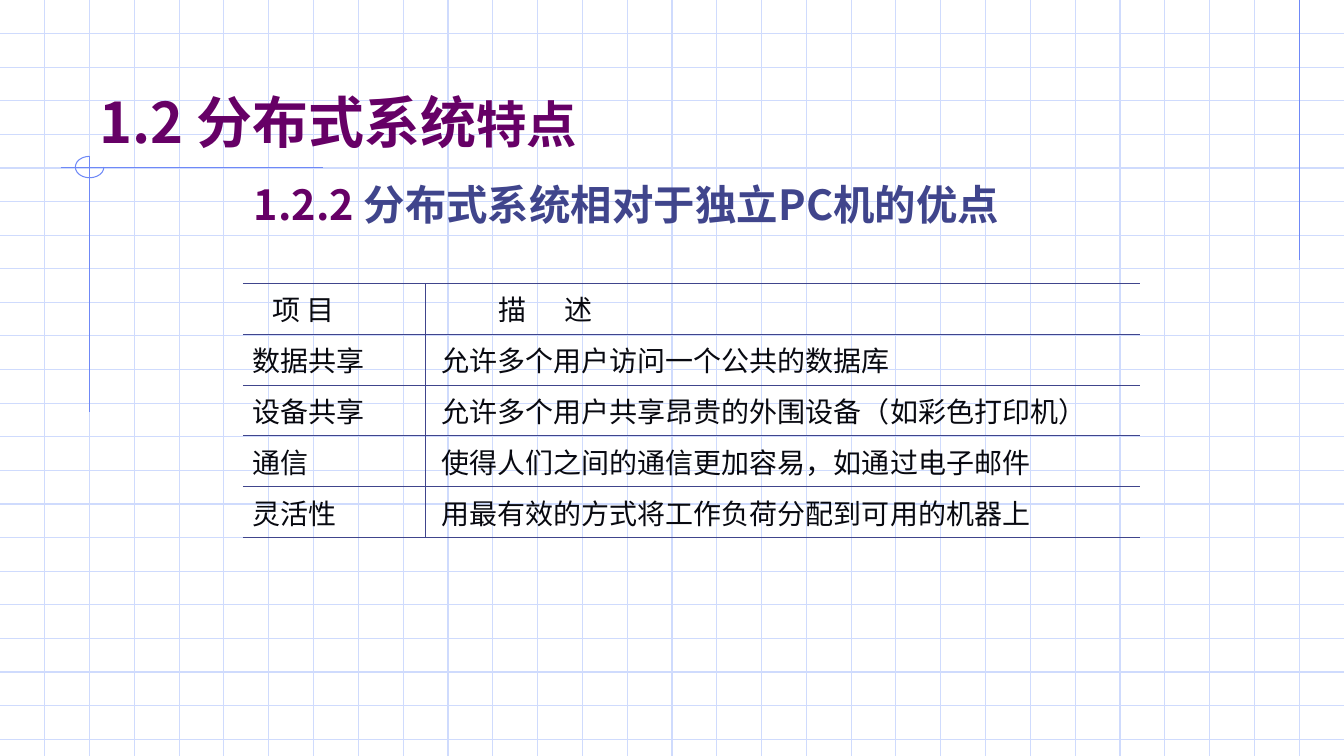
from lxml import etree
from pptx import Presentation
from pptx.dml.color import RGBColor
from pptx.enum.shapes import MSO_CONNECTOR, MSO_SHAPE
from pptx.enum.text import MSO_ANCHOR
from pptx.oxml.ns import qn
from pptx.util import Cm, Pt

STRAIGHT = MSO_CONNECTOR.STRAIGHT
ARC = MSO_SHAPE.ARC
TOP, BOTTOM = MSO_ANCHOR.TOP, MSO_ANCHOR.BOTTOM

WIDTH, HEIGHT = 33.88, 19.05
COLORS = {
    "paper": "FFFFFF",
    "grid": "CFDBFD",
    "accent": "6F89F7",
    "plum": "660066",
    "indigo": "40458C",
    "ink": "080910",
}
TITLE_FONT = "Noto Sans CJK JP"
BODY_FONT = "Noto Sans CJK SC"
PLAIN_TABLE_STYLE = "{2D5ABB26-0587-4C30-8999-92F81FD0307C}"

ADVANTAGES = [
    ("项 目", "描\t述"),
    ("数据共享", "允许多个用户访问一个公共的数据库"),
    ("设备共享", "允许多个用户共享昂贵的外围设备（如彩色打印机）"),
    ("通信", "使得人们之间的通信更加容易，如通过电子邮件"),
    ("灵活性", "用最有效的方式将工作负荷分配到可用的机器上"),
]


def color(name):
    return RGBColor.from_string(COLORS[name])


def add_line(slide, x1, y1, x2, y2, color_name):
    line = slide.shapes.add_connector(STRAIGHT, Cm(x1), Cm(y1), Cm(x2), Cm(y2))
    line.line.color.rgb = color(color_name)
    line.line.width = Pt(0.75)
    etree.SubElement(line._element.spPr, qn("a:effectLst"))


def add_run(paragraph, text, size, font, color_name, bold=False):
    run = paragraph.add_run()
    run.text = text
    run.font.size = Pt(size)
    run.font.bold = bold
    run.font.color.rgb = color(color_name)
    run.font.name = font
    east_asian = etree.SubElement(run._r.get_or_add_rPr(), qn("a:ea"))
    east_asian.set("typeface", font)


def add_grid(slide, left, top, width, height):
    column_gap, row_gap = width / 30, height / 22.5
    for row in range(1, 23):
        y = top + row * row_gap
        add_line(slide, left, y, left + width, y, "grid")
    for column in range(1, 30):
        x = left + column * column_gap
        add_line(slide, x, top, x, top + height, "grid")


def add_ornaments(slide, left, top, width, height):
    right_rule = left + width - 1.13
    add_line(slide, right_rule, top, right_rule, top + 6.55, "accent")
    center_x, center_y = left + 2.26, top + 4.21
    add_line(slide, center_x - 0.73, center_y, center_x + 5.89, center_y, "accent")
    add_line(slide, center_x, center_y - 0.27, center_x, center_y + 6.18, "accent")
    arc = slide.shapes.add_shape(
        ARC, Cm(center_x - 0.36), Cm(center_y - 0.27), Cm(0.72), Cm(0.54))
    arc.adjustments[0] = 0
    arc.adjustments[1] = 162
    arc.shadow.inherit = False
    arc.fill.background()
    arc.line.color.rgb = color("accent")
    arc.line.width = Pt(0.75)


def add_heading(slide, left, top, width, height, anchor, line_spacing, runs):
    box = slide.shapes.add_textbox(Cm(left), Cm(top), Cm(width), Cm(height))
    frame = box.text_frame
    frame.word_wrap = True
    frame.vertical_anchor = anchor
    paragraph = frame.paragraphs[0]
    paragraph.line_spacing = line_spacing
    for text, size, font, color_name in runs:
        add_run(paragraph, text, size, font, color_name, bold=True)


def add_border(cell, sides):
    properties = cell._tc.get_or_add_tcPr()
    for index, side in enumerate(sides):
        border = etree.Element(qn(f"a:ln{side}"), w=str(Pt(0.45)))
        fill = etree.SubElement(border, qn("a:solidFill"))
        etree.SubElement(fill, qn("a:srgbClr"), val=COLORS["indigo"])
        properties.insert(index, border)


def add_tab_stop(paragraph, position):
    tabs = etree.SubElement(paragraph._p.get_or_add_pPr(), qn("a:tabLst"))
    etree.SubElement(tabs, qn("a:tab"), pos=str(Cm(position)), algn="l")


def add_advantages_table(slide, left, top, width, height):
    frame = slide.shapes.add_table(
        len(ADVANTAGES), 2, Cm(left), Cm(top), Cm(width), Cm(height))
    table = frame.table
    table.first_row = False
    table.horz_banding = False
    table._tbl.tblPr.find(qn("a:tableStyleId")).text = PLAIN_TABLE_STYLE
    item_width = 4.6
    table.columns[0].width = Cm(item_width)
    table.columns[1].width = Cm(width - item_width)
    header_margins, body_margins = (0.75, 1.84), (0.25, 0.41)
    for row, texts in enumerate(ADVANTAGES):
        table.rows[row].height = Cm(height / len(ADVANTAGES))
        margins = body_margins if row else header_margins
        for column, text in enumerate(texts):
            cell = table.cell(row, column)
            cell.fill.background()
            cell.margin_left = Cm(margins[column])
            add_border(cell, "LTB" if column else "RTB")
            paragraph = cell.text_frame.paragraphs[0]
            if "\t" in text:
                add_tab_stop(paragraph, 1.66)
            add_run(paragraph, text, 20, BODY_FONT, "ink")


def build_slide(presentation):
    slide = presentation.slides.add_slide(presentation.slide_layouts[6])
    slide.background.fill.solid()
    slide.background.fill.fore_color.rgb = color("paper")
    add_grid(slide, 0, 0, WIDTH, HEIGHT)
    add_ornaments(slide, 0, 0, WIDTH, HEIGHT)
    add_heading(slide, 2.26, 0.84, 28.78, 3.18, BOTTOM, 1.0, [
        ("1.2 分布式系统", 40, TITLE_FONT, "plum"),
        ("特点", 36, TITLE_FONT, "plum"),
    ])
    add_heading(slide, 6.15, 4.52, 21.59, 1.6, TOP, 0.9, [
        ("1.2.2 ", 29.6, BODY_FONT, "plum"),
        ("分布式系统相对于独立PC机的优点", 29.6, BODY_FONT, "indigo"),
    ])
    add_advantages_table(slide, 6.12, 7.14, 22.61, 6.4)


def main():
    presentation = Presentation()
    presentation.slide_width = Cm(WIDTH)
    presentation.slide_height = Cm(HEIGHT)
    build_slide(presentation)
    presentation.save("out.pptx")


if __name__ == "__main__":
    main()
